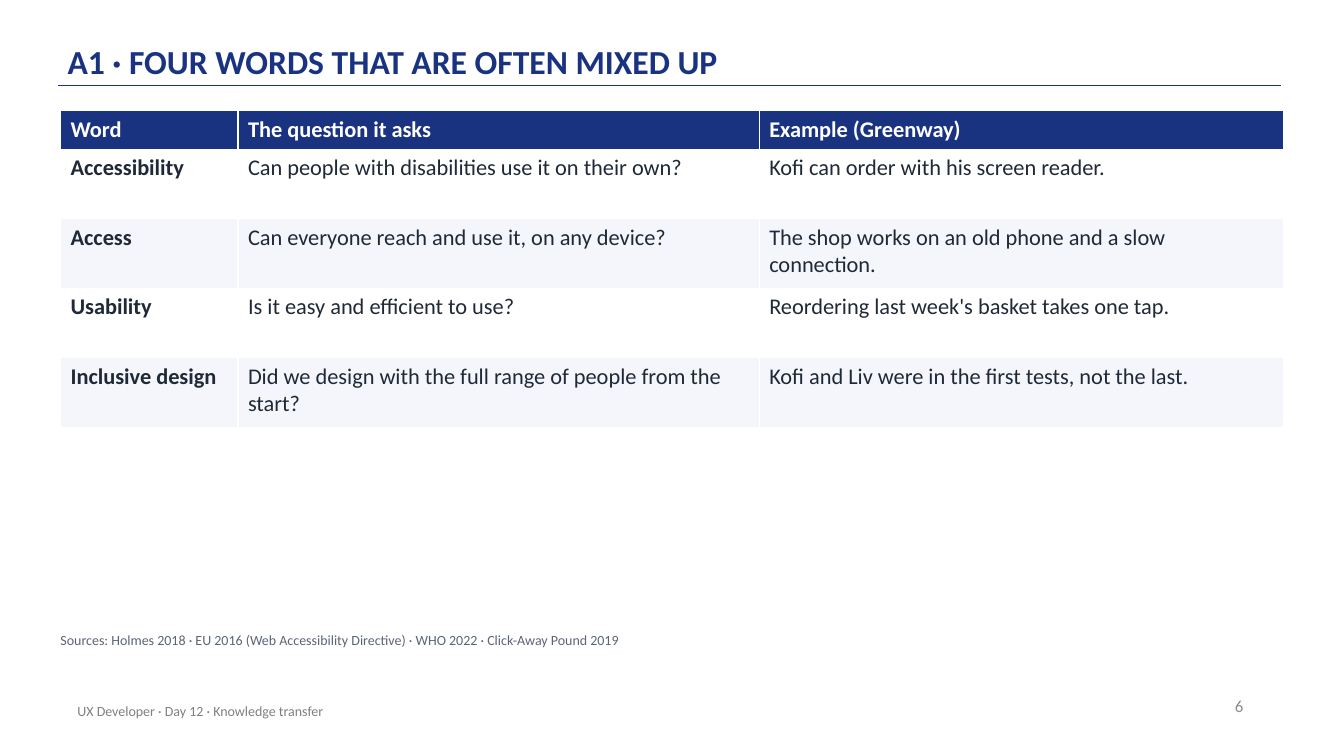
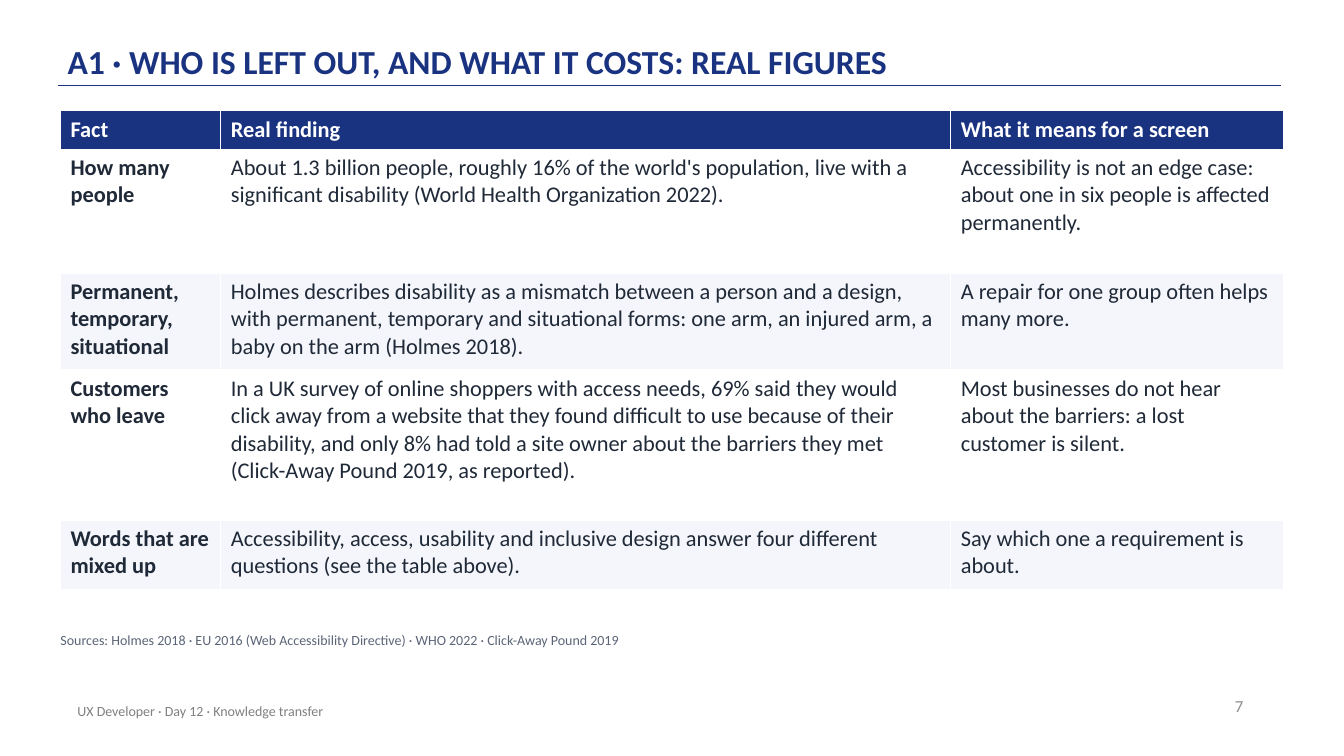
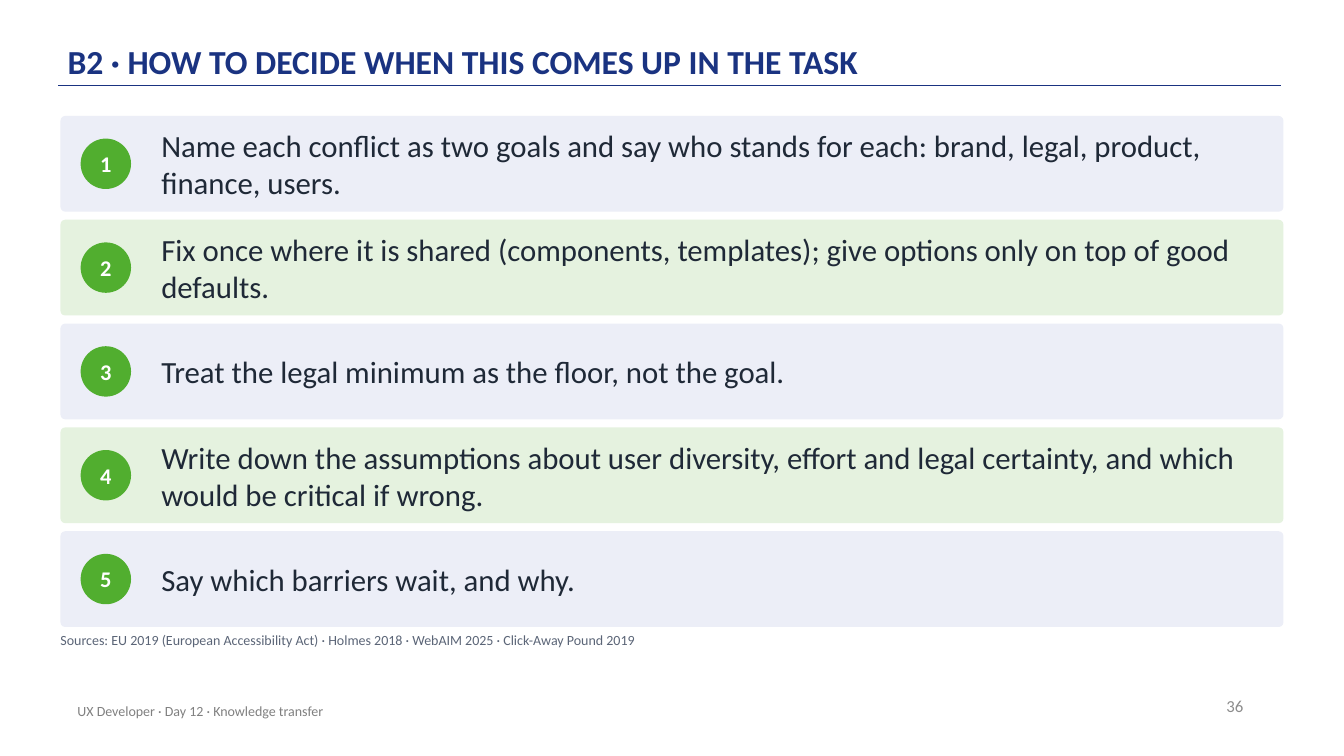
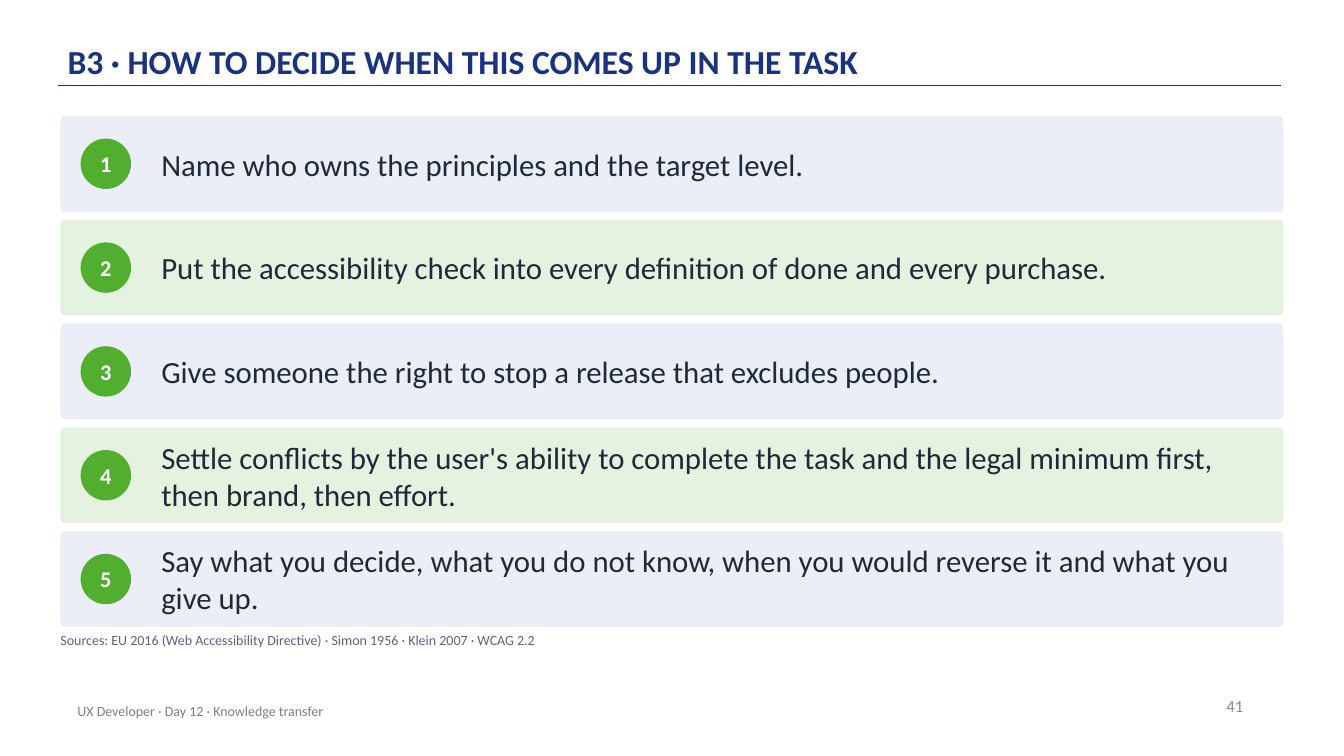
from lxml import etree
from pptx import Presentation
from pptx import util as u
from pptx.dml.color import RGBColor
from pptx.enum import shapes, text
from pptx.oxml.ns import qn

COLOURS = {
    "navy": "1A3381", "green": "51AE2F", "ink": "1F2937", "white": "FFFFFF",
    "stripe": "F4F6FB", "blue band": "ECEEF7", "green band": "E5F2DF",
    "source": "5B6577", "footer": "808080", "number": "8C8C8C",
}
COLOURS = {name: RGBColor.from_string(value) for name, value in COLOURS.items()}

# Each style: font size, bold, colour, and the formats of frame and paragraph
MARGINS = ("margin_left", "margin_top", "margin_right", "margin_bottom")
FLUSH = dict.fromkeys(MARGINS, 0)
MIDDLE = {"vertical_anchor": text.MSO_ANCHOR.MIDDLE}
STYLES = {
    "title": (24, True, "navy",
              {**FLUSH, "margin_top": u.Inches(0.03), "margin_bottom": u.Inches(0.03),
               "vertical_anchor": text.MSO_ANCHOR.BOTTOM},
              {"line_spacing": 0.9}),
    "number": (12, False, "number", MIDDLE, {"alignment": text.PP_ALIGN.RIGHT}),
    "footer": (10, False, "footer", MIDDLE, {}),
    "source": (10, False, "source", FLUSH, {"space_after": u.Pt(6)}),
    "badge": (16, True, "white", {**FLUSH, **MIDDLE},
              {"alignment": text.PP_ALIGN.CENTER}),
    "step": (22, False, "ink", {**FLUSH, **MIDDLE}, {}),
    "table head": (16, True, "white", {}, {}),
    "table label": (16, True, "ink", {}, {}),
    "table body": (16, False, "ink", {}, {}),
}

TABLE_SOURCES = ("Sources: Holmes 2018 · EU 2016 (Web Accessibility Directive) · "
                 "WHO 2022 · Click-Away Pound 2019")
SLIDES = [
    {
        "title": "A1 · FOUR WORDS THAT ARE OFTEN MIXED UP",
        "number": 6,
        "source": TABLE_SOURCES,
        "columns": [1.76, 5.17, 5.2],
        "heights": [0.38, 0.69, 0.69, 0.69, 0.69],
        "rows": [
            ("Word", "The question it asks", "Example (Greenway)"),
            ("Accessibility", "Can people with disabilities use it on their own?",
             "Kofi can order with his screen reader."),
            ("Access", "Can everyone reach and use it, on any device?",
             "The shop works on an old phone and a slow connection."),
            ("Usability", "Is it easy and efficient to use?",
             "Reordering last week's basket takes one tap."),
            ("Inclusive design",
             "Did we design with the full range of people from the start?",
             "Kofi and Liv were in the first tests, not the last."),
        ],
    },
    {
        "title": "A1 · WHO IS LEFT OUT, AND WHAT IT COSTS: REAL FIGURES",
        "number": 7,
        "source": TABLE_SOURCES,
        "columns": [1.59, 7.24, 3.3],
        "heights": [0.38, 1.23, 0.96, 1.49, 0.69],
        "rows": [
            ("Fact", "Real finding", "What it means for a screen"),
            ("How many people",
             "About 1.3 billion people, roughly 16% of the world's population, live "
             "with a significant disability (World Health Organization 2022).",
             "Accessibility is not an edge case: about one in six people is affected "
             "permanently."),
            ("Permanent, temporary, situational",
             "Holmes describes disability as a mismatch between a person and a design, "
             "with permanent, temporary and situational forms: one arm, an injured arm, "
             "a baby on the arm (Holmes 2018).",
             "A repair for one group often helps many more."),
            ("Customers who leave",
             "In a UK survey of online shoppers with access needs, 69% said they would "
             "click away from a website that they found difficult to use because of "
             "their disability, and only 8% had told a site owner about the barriers "
             "they met (Click-Away Pound 2019, as reported).",
             "Most businesses do not hear about the barriers: a lost customer is silent."),
            ("Words that are mixed up",
             "Accessibility, access, usability and inclusive design answer four "
             "different questions (see the table above).",
             "Say which one a requirement is about."),
        ],
    },
    {
        "title": "B2 · HOW TO DECIDE WHEN THIS COMES UP IN THE TASK",
        "number": 36,
        "source": "Sources: EU 2019 (European Accessibility Act) · Holmes 2018 · "
                  "WebAIM 2025 · Click-Away Pound 2019",
        "steps": [
            "Name each conflict as two goals and say who stands for each: brand, legal, "
            "product, finance, users.",
            "Fix once where it is shared (components, templates); give options only on "
            "top of good defaults.",
            "Treat the legal minimum as the floor, not the goal.",
            "Write down the assumptions about user diversity, effort and legal "
            "certainty, and which would be critical if wrong.",
            "Say which barriers wait, and why.",
        ],
    },
    {
        "title": "B3 · HOW TO DECIDE WHEN THIS COMES UP IN THE TASK",
        "number": 41,
        "source": "Sources: EU 2016 (Web Accessibility Directive) · Simon 1956 · "
                  "Klein 2007 · WCAG 2.2",
        "steps": [
            "Name who owns the principles and the target level.",
            "Put the accessibility check into every definition of done and every "
            "purchase.",
            "Give someone the right to stop a release that excludes people.",
            "Settle conflicts by the user's ability to complete the task and the legal "
            "minimum first, then brand, then effort.",
            "Say what you decide, what you do not know, when you would reverse it and "
            "what you give up.",
        ],
    },
]


def write(frame, words, style):
    """Put one styled paragraph into a text frame."""
    size, bold, colour, frame_format, para_format = STYLES[style]
    para = frame.paragraphs[0]
    span = para.add_run()
    span.text = words
    span.font.color.rgb = COLOURS[colour]
    font_format = {"name": "Calibri", "size": u.Pt(size), "bold": bold}
    for target, values in ((frame, frame_format), (para, para_format),
                           (span.font, font_format)):
        for name, value in values.items():
            setattr(target, name, value)


def add_box(page, place, words="", style=None, kind=None, fill=None):
    """Add a text box, or a filled shape if a kind is given."""
    place = [u.Inches(length) for length in place]
    if kind is None:
        box = page.shapes.add_textbox(*place)
    else:
        box = page.shapes.add_shape(kind, *place)
        box.shadow.inherit = False
        box.fill.solid()
        box.fill.fore_color.rgb = COLOURS[fill]
        box.line.fill.background()
    box.text_frame.word_wrap = True
    if words:
        write(box.text_frame, words, style)
    return box


deck = Presentation()
deck.slide_width, deck.slide_height = u.Inches(13.33), u.Inches(7.5)

LEFT, WIDTH = 0.6, 12.13
BAND_TOP, BAND_HEIGHT, BAND_PITCH = 1.15, 0.95, 1.03
BADGE = 0.5

for content in SLIDES:
    page = deck.slides.add_slide(deck.slide_layouts[6])

    # Title, rule, footer and sources
    rule = page.shapes.add_connector(
        shapes.MSO_CONNECTOR.STRAIGHT,
        u.Inches(0.58), u.Inches(0.85), u.Inches(12.71), u.Inches(0.85))
    rule.line.color.rgb = COLOURS["navy"]
    rule.line.width = u.Pt(1)
    etree.SubElement(rule._element.spPr, qn("a:effectLst"))
    add_box(page, (0.67, 0.12, 11, 0.72), content["title"], "title")
    add_box(page, (9.43, 6.8, 3, 0.4), str(content["number"]), "number")
    add_box(page, (0.67, 6.85, 6.7, 0.4),
            "UX Developer · Day 12 · Knowledge transfer", "footer")
    add_box(page, (LEFT, 6.27, 12.1, 0.3), content["source"], "source")

    # Table with a dark head and striped rows
    if "rows" in content:
        rows, columns, heights = (content[key] for key in ("rows", "columns", "heights"))
        table = page.shapes.add_table(
            len(rows), len(columns), u.Inches(LEFT), u.Inches(1.1),
            u.Inches(WIDTH), u.Inches(sum(heights))).table
        for column, width in zip(table.columns, columns):
            column.width = u.Inches(width)
        for r, (row, height) in enumerate(zip(rows, heights)):
            table.rows[r].height = u.Inches(height)
            fill = "navy" if r == 0 else "white" if r % 2 else "stripe"
            for c, words in enumerate(row):
                cell = table.cell(r, c)
                cell.fill.solid()
                cell.fill.fore_color.rgb = COLOURS[fill]
                style = "head" if r == 0 else "label" if c == 0 else "body"
                write(cell.text_frame, words, f"table {style}")

    # Numbered steps on alternating bands
    for i, step in enumerate(content.get("steps", [])):
        top = BAND_TOP + i * BAND_PITCH
        band = add_box(page, (LEFT, top, WIDTH, BAND_HEIGHT),
                       kind=shapes.MSO_SHAPE.ROUNDED_RECTANGLE,
                       fill="green band" if i % 2 else "blue band")
        band.adjustments[0] = 0.05
        add_box(page, (LEFT + 0.2, top + (BAND_HEIGHT - BADGE) / 2, BADGE, BADGE),
                str(i + 1), "badge", shapes.MSO_SHAPE.OVAL, "green")
        add_box(page, (LEFT + 1, top, WIDTH - 1.2, BAND_HEIGHT), step, "step")

deck.save("out.pptx")
